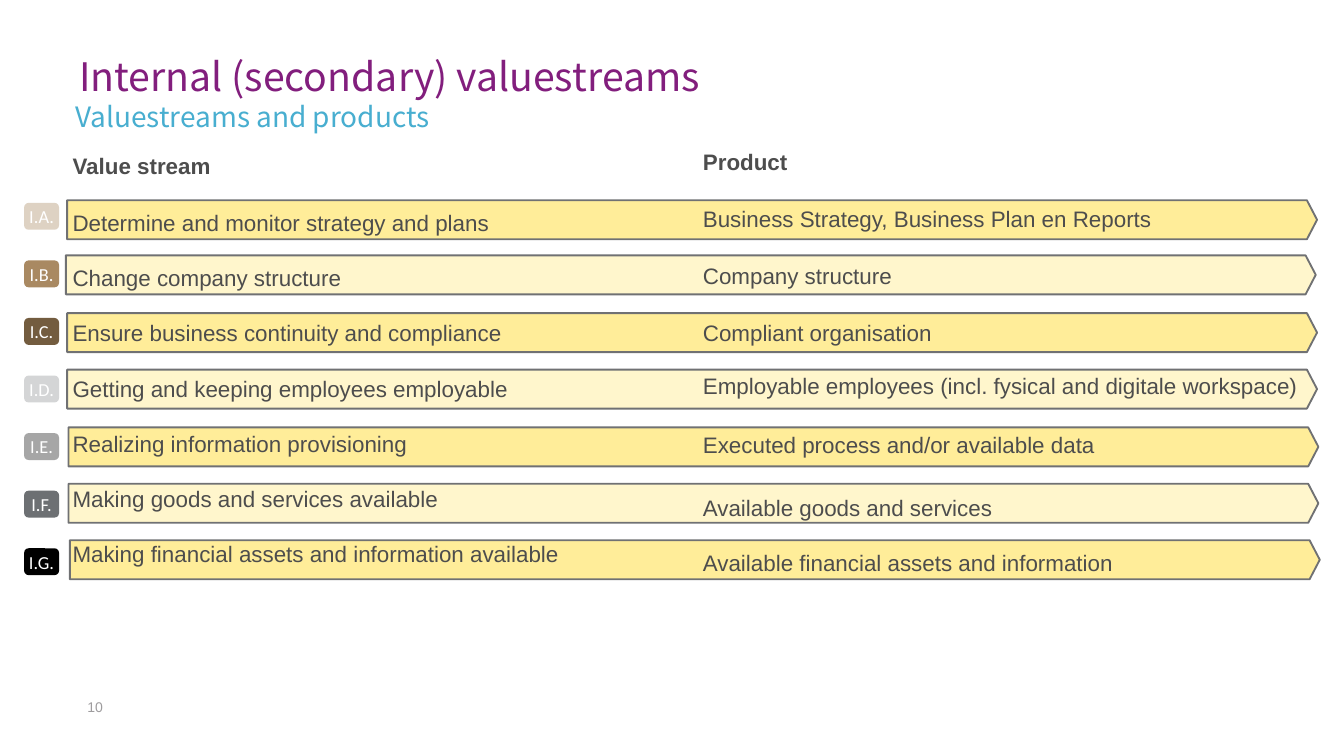
import pptx
import pptx.util
import pptx.dml.color
import pptx.enum.shapes
import pptx.enum.text

Inches = pptx.util.Inches
Pt = pptx.util.Pt
SHAPE = pptx.enum.shapes.MSO_SHAPE
ALIGN = pptx.enum.text.PP_ALIGN
ANCHOR = pptx.enum.text.MSO_ANCHOR

HUES = {
    "title": "821E7D", "sub": "48AED0", "body": "4D4D4D", "page": "9E9C9E",
    "gold": "FFED99", "cream": "FFF6CC", "edge": "707173", "white": "FFFFFF",
}
BADGES = {
    "I.A.": "DED2C3", "I.B.": "A98962", "I.C.": "735C3F", "I.D.": "D4D5D6",
    "I.E.": "A6A6A6", "I.F.": "6D7073", "I.G.": "000000",
}
BARS = [
    (0, 0), (-0.01, 0.41), (0, 0.84), (0, 1.26),
    (0.01, 1.69), (0.01, 2.11), (0.02, 2.53),
]
STREAMS = [("Value stream", 4.5, 4.5)] + [(words, 4.5, 3.5) for words in (
    "Determine and monitor strategy and plans",
    "Change company structure",
    "Ensure business continuity and compliance",
    "Getting and keeping employees employable",
    "Realizing information provisioning",
    "Making goods and services available",
    "Making financial assets and information available",
)]
GOODS = [
    ("Product", 4.5, 4.5),
    ("Business Strategy, Business Plan en Reports", 4.5, 4.5),
    ("Company structure", 4.5, 4.5),
    ("Compliant organisation", 4.5, 2),
    ("Employable employees (incl. fysical and digitale workspace)", 4.5, 2),
    ("Executed process and/or available data", 8, 4.5),
    ("Available goods and services", 8, 4.5),
    ("Available financial assets and information", 3, 4.5),
]


def color(hue):
    return pptx.dml.color.RGBColor.from_string(hue)


def style(para, face, size, hue, bold=False):
    para.font.name = face
    para.font.size = Pt(size)
    para.font.bold = bold
    para.font.color.rgb = color(hue)


def frame(slide, box):
    text = slide.shapes.add_textbox(*map(Inches, box)).text_frame
    text.word_wrap = True
    text.margin_left = text.margin_right = 0
    text.margin_top = text.margin_bottom = 0
    return text


def label(slide, box, words, face, size, hue, gap=None):
    para = frame(slide, box).paragraphs[0]
    para.text = words
    para.line_spacing = gap
    style(para, face, size, hue)


def column(slide, box, items):
    text = frame(slide, box)
    for i, (words, before, after) in enumerate(items):
        para = text.add_paragraph() if i else text.paragraphs[0]
        para.text = words
        para.line_spacing = 1.5
        para.space_before = Pt(before)
        para.space_after = Pt(after)
        style(para, "Arial", 12, HUES["body"], bold=i == 0)


def block(slide, kind, box, hue):
    shape = slide.shapes.add_shape(kind, *map(Inches, box))
    shape.shadow.inherit = False
    shape.fill.solid()
    shape.fill.fore_color.rgb = color(hue)
    return shape


def bars(slide, box):
    left, top, width, tall = box
    for i, (shift, drop) in enumerate(BARS):
        hue = HUES["cream" if i % 2 else "gold"]
        place = (left + shift, top + drop, width, tall)
        bar = block(slide, SHAPE.PENTAGON, place, hue)
        bar.adjustments[0] = 0.26
        bar.line.color.rgb = color(HUES["edge"])
        bar.line.width = Pt(1)


def badges(slide, box):
    left, top, width, height = box
    tall = 0.2
    step = (height - tall) / (len(BADGES) - 1)
    for i, (words, hue) in enumerate(BADGES.items()):
        place = (left, top + i * step, width, tall)
        badge = block(slide, SHAPE.ROUNDED_RECTANGLE, place, hue)
        badge.line.fill.background()
        text = badge.text_frame
        text.margin_left = text.margin_right = 0
        text.margin_top = text.margin_bottom = Inches(0.05)
        text.vertical_anchor = ANCHOR.MIDDLE
        para = text.paragraphs[0]
        para.text = words
        para.alignment = ALIGN.CENTER
        style(para, "Calibri", 9.8, HUES["white"])


def heading(slide, box):
    left, top, width, height = box
    face = "Noto Sans CJK TC"
    label(slide, (left + 0.03, top, 7.28, 0.39),
          "Internal (secondary) valuestreams", face, 21, HUES["title"], Pt(28))
    label(slide, (left, top + 0.34, width, height - 0.34),
          "Valuestreams and products", face, 15, HUES["sub"], 1.2)


def main():
    deck = pptx.Presentation()
    deck.slide_width = Inches(10)
    deck.slide_height = Inches(10 * 9 / 16)
    slide = deck.slides.add_slide(deck.slide_layouts[6])
    label(slide, (0.65, 5.2, 0.39, 0.24), "10", "Arial", 7.5, HUES["page"])
    bars(slide, (0.5, 1.49, 9.3, 0.29))
    column(slide, (5.23, 1, 4.72, 3.73), GOODS)
    column(slide, (0.54, 1.03, 7.37, 3.73), STREAMS)
    badges(slide, (0.18, 1.51, 0.26, 2.77))
    heading(slide, (0.56, 0.35, 8.32, 0.58))
    deck.save("out.pptx")


if __name__ == "__main__":
    main()
